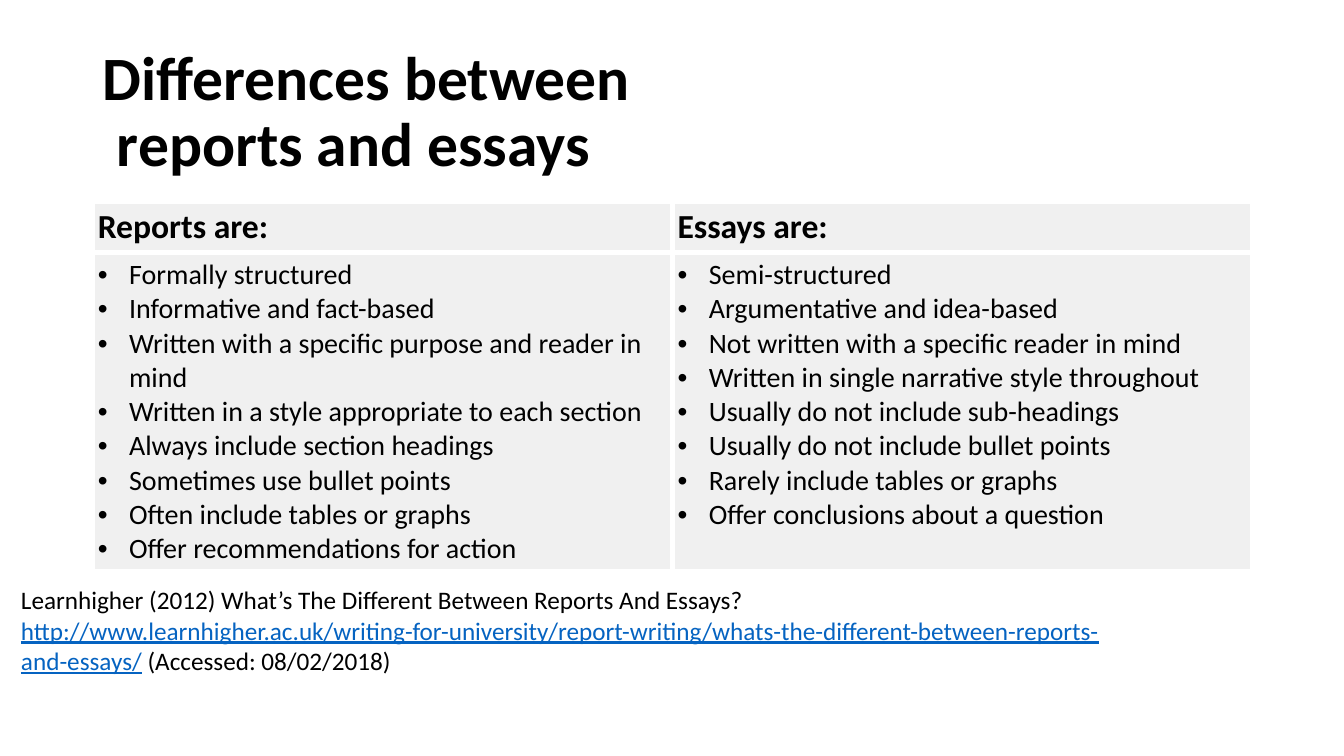
import pptx
import pptx.util
import pptx.dml.color
import pptx.enum.text
import pptx.oxml
import pptx.oxml.ns

Inches = pptx.util.Inches
Pt = pptx.util.Pt
COLORS = {"text": "000000", "link": "0563C1", "cell": "F0F0F0", "border": "FFFFFF"}
NS = pptx.oxml.ns.nsdecls("a")

COLUMNS = [
    ("Reports are:", [
        "Formally structured",
        "Informative and fact-based",
        "Written with a specific purpose and reader in mind",
        "Written in a style appropriate to each section",
        "Always include section headings",
        "Sometimes use bullet points",
        "Often include tables or graphs",
        "Offer recommendations for action",
    ]),
    ("Essays are:", [
        "Semi-structured",
        "Argumentative and idea-based",
        "Not written with a specific reader in mind",
        "Written in single narrative style throughout",
        "Usually do not include sub-headings",
        "Usually do not include bullet points",
        "Rarely include tables or graphs",
        "Offer conclusions about a question",
    ]),
]
CITATION = [
    ("Learnhigher (2012) What’s The Different Between Reports And Essays? ", "text", False),
    ("http://www.learnhigher.ac.uk/writing-for-university/report-writing/"
     "whats-the-different-between-reports-and-essays/", "link", True),
    (" (Accessed: 08/02/2018)", "text", False),
]


def set_font(font, color="text", **values):
    for name, value in {"name": "Calibri", **values}.items():
        setattr(font, name, value)
    font.color.rgb = pptx.dml.color.RGBColor.from_string(COLORS[color])


prs = pptx.Presentation()
prs.slide_width, prs.slide_height = Inches(13.33), Inches(7.5)
s = prs.slides.add_slide(prs.slide_layouts[5])

title = s.shapes.title
title.left, title.top = Inches(0.92), Inches(0.4)
title.width, title.height = Inches(11.5), Inches(1.45)
tf = title.text_frame
tf.word_wrap = True
tf.auto_size = pptx.enum.text.MSO_AUTO_SIZE.NONE
tf.vertical_anchor = pptx.enum.text.MSO_ANCHOR.MIDDLE
p = tf.paragraphs[0]
p.text = "Differences between\v reports and essays"
p.alignment = pptx.enum.text.PP_ALIGN.LEFT
p.line_spacing = 0.9
for r in p.runs:
    set_font(r.font, size=Pt(44), bold=True)

frame = s.shapes.add_table(2, 2, Inches(0.92), Inches(2), Inches(11.5), Inches(3.61))
table = frame.table
table.first_row = table.horz_banding = False
table.rows[0].height, table.rows[1].height = Inches(0.48), Inches(3.13)
for col, (heading, points) in enumerate(COLUMNS):
    for row, lines in enumerate([[heading], points]):
        cell = table.cell(row, col)
        for side in ("left", "right", "top", "bottom"):
            setattr(cell, f"margin_{side}", Inches(0.05))
        tcPr = cell._tc.get_or_add_tcPr()
        for side in "LRTB":
            tcPr.append(pptx.oxml.parse_xml(
                f'<a:ln{side} {NS} w="{Pt(3.75)}"><a:solidFill>'
                f'<a:srgbClr val="{COLORS["border"]}"/></a:solidFill></a:ln{side}>'))
        cell.fill.solid()
        cell.fill.fore_color.rgb = pptx.dml.color.RGBColor.from_string(COLORS["cell"])
        tf = cell.text_frame
        tf.text = "\n".join(lines)
        for p in tf.paragraphs:
            if row == 1:
                pPr = p._p.get_or_add_pPr()
                pPr.set("marL", str(Inches(0.31)))
                pPr.set("indent", str(-Inches(0.31)))
                pPr.append(pptx.oxml.parse_xml(f'<a:buFont {NS} typeface="Arial"/>'))
                pPr.append(pptx.oxml.parse_xml(f'<a:buChar {NS} char="•"/>'))
            set_font(p.runs[0].font, size=Pt(20 if row else 24), bold=row == 0)

citation = s.shapes.add_textbox(Inches(0.11), Inches(5.75), Inches(11.02), Inches(1.01))
tf = citation.text_frame
tf.word_wrap = True
tf.auto_size = pptx.enum.text.MSO_AUTO_SIZE.SHAPE_TO_FIT_TEXT
for text, color, underline in CITATION:
    r = tf.paragraphs[0].add_run()
    r.text = text
    set_font(r.font, color, size=Pt(18), underline=underline)

prs.save("out.pptx")
